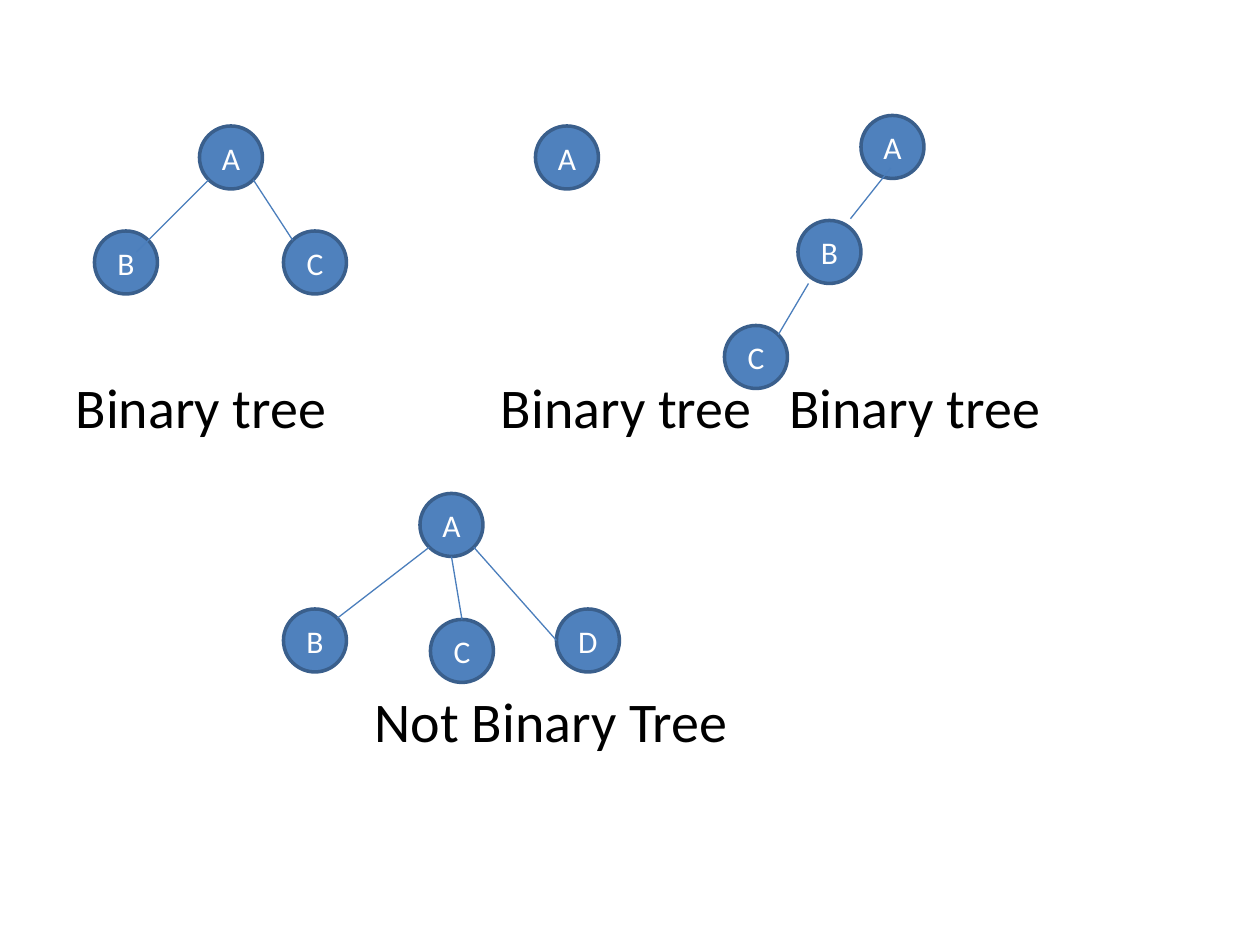
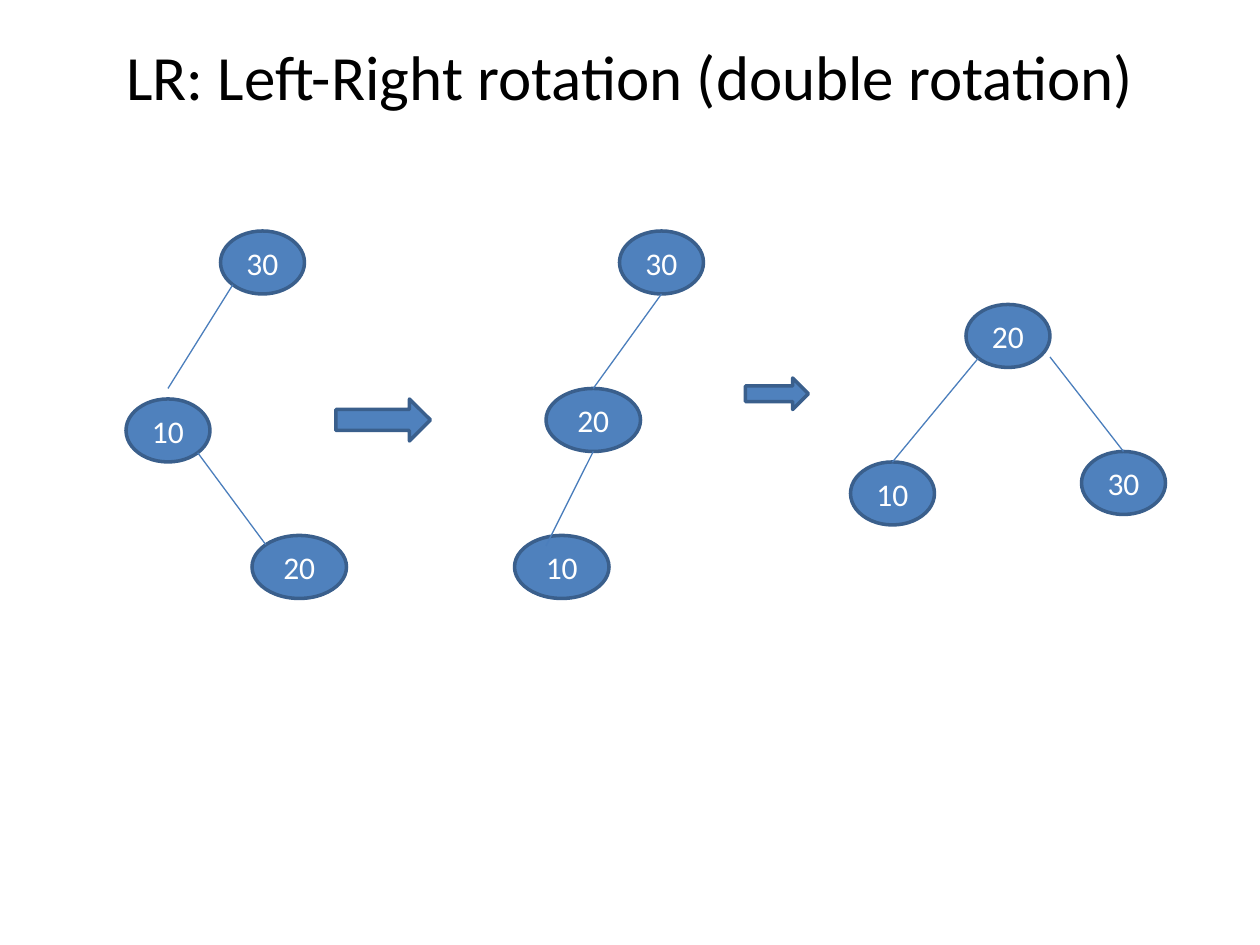
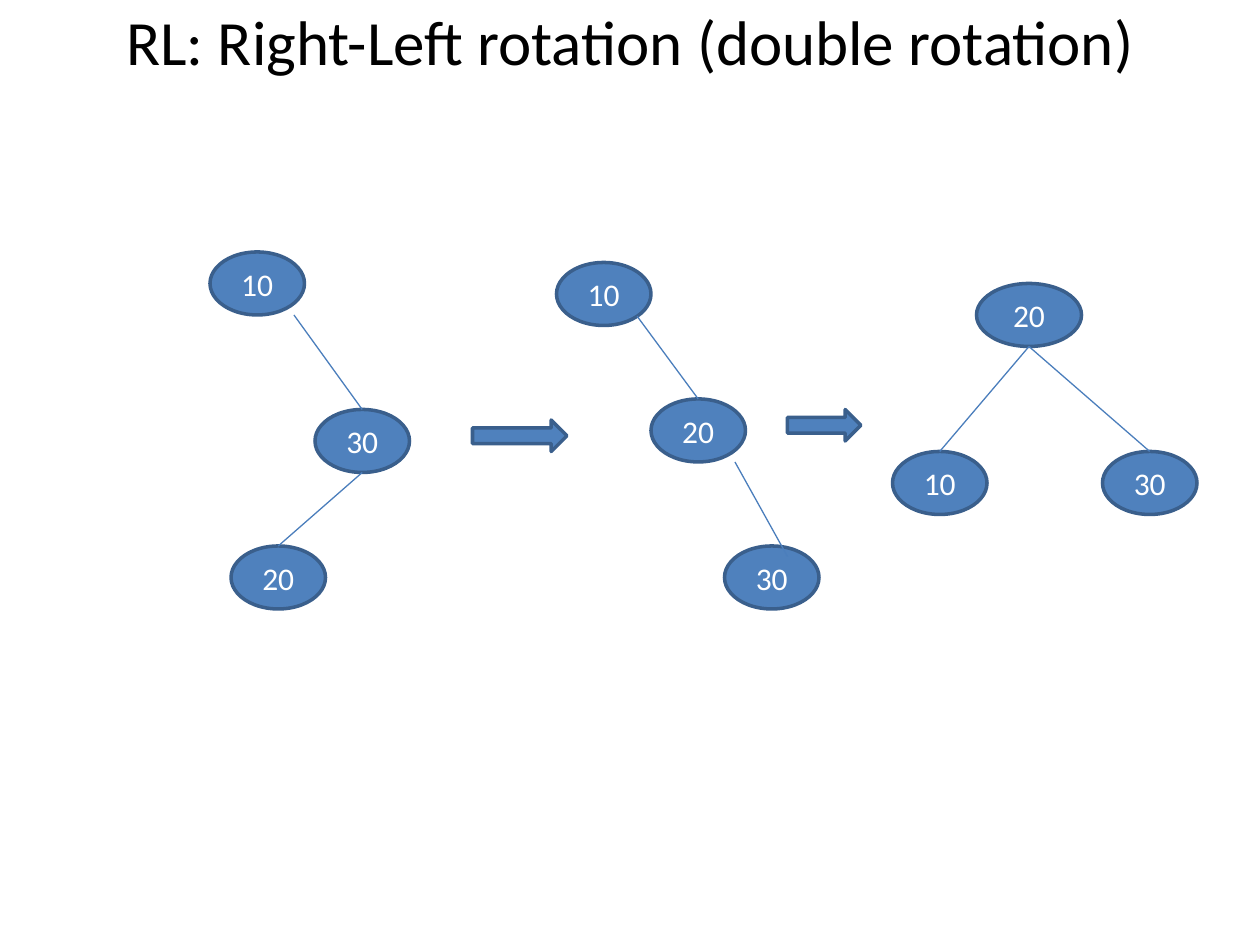
from lxml.etree import SubElement
from pptx import Presentation
from pptx.dml.color import RGBColor
from pptx.enum.shapes import MSO_CONNECTOR as Connector, MSO_SHAPE as Preset
from pptx.enum.text import MSO_ANCHOR as Anchor, MSO_AUTO_SIZE as AutoSize, PP_ALIGN as Align
from pptx.oxml.ns import qn
from pptx.util import Pt

rgb = RGBColor.from_string
FONT = "Calibri"
NODE_FILL, NODE_LINE, EDGE_LINE = "4F81BD", "3A5F8C", "4B7EBC"
NODE_HEIGHT = 36
TAB_WIDTH = Pt(72)

# Connection sites of an oval: number, share of width, share of height
SITES = {
    "top": (0, 0.5, 0), "top left": (1, 0.146, 0.146),
    "left": (2, 0, 0.5), "bottom left": (3, 0.146, 0.854),
    "bottom": (4, 0.5, 1), "bottom right": (5, 0.854, 0.854),
    "right": (6, 1, 0.5), "top right": (7, 0.854, 0.146),
}

# Each title: text, box height, size of the line after the break.
# Each tree: nodes as label: (left, top, width), and edges between two ends.
# An end is (label, site) or a free point (x, y).
SLIDES = [
    {
        "captions": [("Binary tree\t\tBinary tree   Binary tree", 0),
                     ("\t\t\tNot Binary Tree", 141)],
        "trees": [
            ({"A": (114, 72, 36), "B": (54, 132, 36), "C": (162, 132, 36)},
             [(("A", "bottom left"), (78, 144)),
              (("A", "bottom right"), ("C", "top left"))]),
            ({"A": (306, 72, 36)}, []),
            ({"A": (492, 66, 36), "B": (456, 126, 36), "C": (414, 186, 36)},
             [((509, 96), (486, 125)),
              ((462, 162), ("C", "top right"))]),
            ({"A": (240, 282, 36), "D": (318, 348, 36),
              "B": (162, 348, 36), "C": (246, 354, 36)},
             [(("A", "bottom left"), ("B", "top right")),
              (("A", "bottom"), ("C", "top")),
              (("A", "bottom right"), ("D", "left"))]),
        ],
        "steps": [],
    },
    {
        "title": ("LR: Left-Right rotation (double rotation)", 90, 39),
        "trees": [
            ({"30": (126, 132, 48), "10": (72, 228, 48), "20": (144, 306, 54)},
             [(("30", "bottom left"), (96, 222)),
              (("10", "bottom right"), ("20", "top left"))]),
            ({"30": (354, 132, 48), "20": (312, 222, 54), "10": (294, 306, 54)},
             [(("30", "bottom"), ("20", "top")),
              (("20", "bottom"), (312, 312))]),
            ({"20": (552, 174, 48), "10": (486, 264, 48), "30": (618, 258, 48)},
             [(("20", "bottom left"), ("10", "top")),
              ((600, 204), ("30", "top"))]),
        ],
        "steps": [(192, 228, 54, 24), (426, 216, 36, 18)],
    },
    {
        "title": ("RL: Right-Left rotation (double rotation)", 50.4, 40),
        "trees": [
            ({"10": (120, 144, 54), "30": (180, 234, 54), "20": (132, 312, 54)},
             [((168, 180), ("30", "top")),
              (("30", "bottom"), ("20", "top"))]),
            ({"10": (318, 150, 54), "20": (372, 228, 54), "30": (414, 312, 54)},
             [(("10", "bottom right"), ("20", "top")),
              ((420, 264), (450, 318))]),
            ({"20": (558, 162, 60), "10": (510, 258, 54), "30": (630, 258, 54)},
             [(("20", "bottom"), ("10", "top")),
              (("20", "bottom"), ("30", "top"))]),
        ],
        "steps": [(270, 240, 54, 18), (450, 234, 42, 18)],
    },
]


def write(paragraph, text, size=18, color="FFFFFF", align=Align.CENTER):
    run = paragraph.add_run()
    run.text = text
    run.font.name, run.font.size = FONT, Pt(size)
    run.font.color.rgb = rgb(color)
    paragraph.alignment = align


def add_blue(slide, preset, *box):
    """Add a blue outlined preset shape; box is left, top, width, height."""
    shape = slide.shapes.add_shape(preset, *map(Pt, box))
    shape.shadow.inherit = False
    shape.fill.solid()
    shape.fill.fore_color.rgb = rgb(NODE_FILL)
    shape.line.color.rgb = rgb(NODE_LINE)
    shape.line.width = Pt(2)
    return shape


deck = Presentation()
deck.slide_width, deck.slide_height = Pt(720), Pt(540)
content_layout, title_only_layout = deck.slide_layouts[1], deck.slide_layouts[5]

for content in SLIDES:
    if "title" in content:
        slide = deck.slides.add_slide(title_only_layout)
        heading, heading_height, break_size = content["title"]
        title = slide.shapes.title
        title.left, title.top = Pt(36), Pt(21.6)
        title.width, title.height = Pt(648), Pt(heading_height)
        title.text_frame.auto_size = AutoSize.NONE
        title.text_frame.vertical_anchor = Anchor.MIDDLE
        line = title.text_frame.paragraphs[0]
        write(line, heading, size=36, color="000000")
        line.add_line_break()
        SubElement(line._p, qn("a:endParaRPr"), sz=str(break_size * 100))
    else:
        slide = deck.slides.add_slide(content_layout)
        slide.shapes.title.element.getparent().remove(slide.shapes.title.element)
        body = slide.placeholders[1]
        body.left, body.top, body.width, body.height = Pt(36), Pt(30), Pt(648), Pt(452)
        frame = body.text_frame
        frame.auto_size = AutoSize.NONE
        frame.margin_top = Pt(183)
        for number, (caption, gap) in enumerate(content["captions"]):
            line = frame.add_paragraph() if number else frame.paragraphs[0]
            write(line, caption, size=32, color="000000", align=Align.LEFT)
            line.space_before = Pt(gap)
            layout = line._p.get_or_add_pPr()
            layout.set("defTabSz", str(TAB_WIDTH))
            SubElement(layout, qn("a:buNone"))

    for places, edges in content["trees"]:
        nodes = {}
        for label, (left, top, width) in places.items():
            node = add_blue(slide, Preset.FLOWCHART_CONNECTOR, left, top, width, NODE_HEIGHT)
            node.text_frame.vertical_anchor = Anchor.MIDDLE
            write(node.text_frame.paragraphs[0], label)
            nodes[label] = node

        for ends in edges:
            points, joints = [], []
            for tag, (first, second) in zip(("a:stCxn", "a:endCxn"), ends):
                if first in nodes:
                    site, across, down = SITES[second]
                    left, top, width = places[first]
                    points += [left + across * width, top + down * NODE_HEIGHT]
                    joints.append((tag, nodes[first].shape_id, site))
                else:
                    points += [first, second]
            edge = slide.shapes.add_connector(Connector.STRAIGHT, *map(Pt, points))
            edge.line.color.rgb = rgb(EDGE_LINE)
            edge.line.width = Pt(0.75)
            SubElement(edge.element.spPr, qn("a:effectLst"))
            for tag, node_id, site in joints:
                SubElement(edge.element.nvCxnSpPr.cNvCxnSpPr, qn(tag),
                           id=str(node_id), idx=str(site))

    for box in content["steps"]:
        add_blue(slide, Preset.RIGHT_ARROW, *box)

deck.save("out.pptx")
